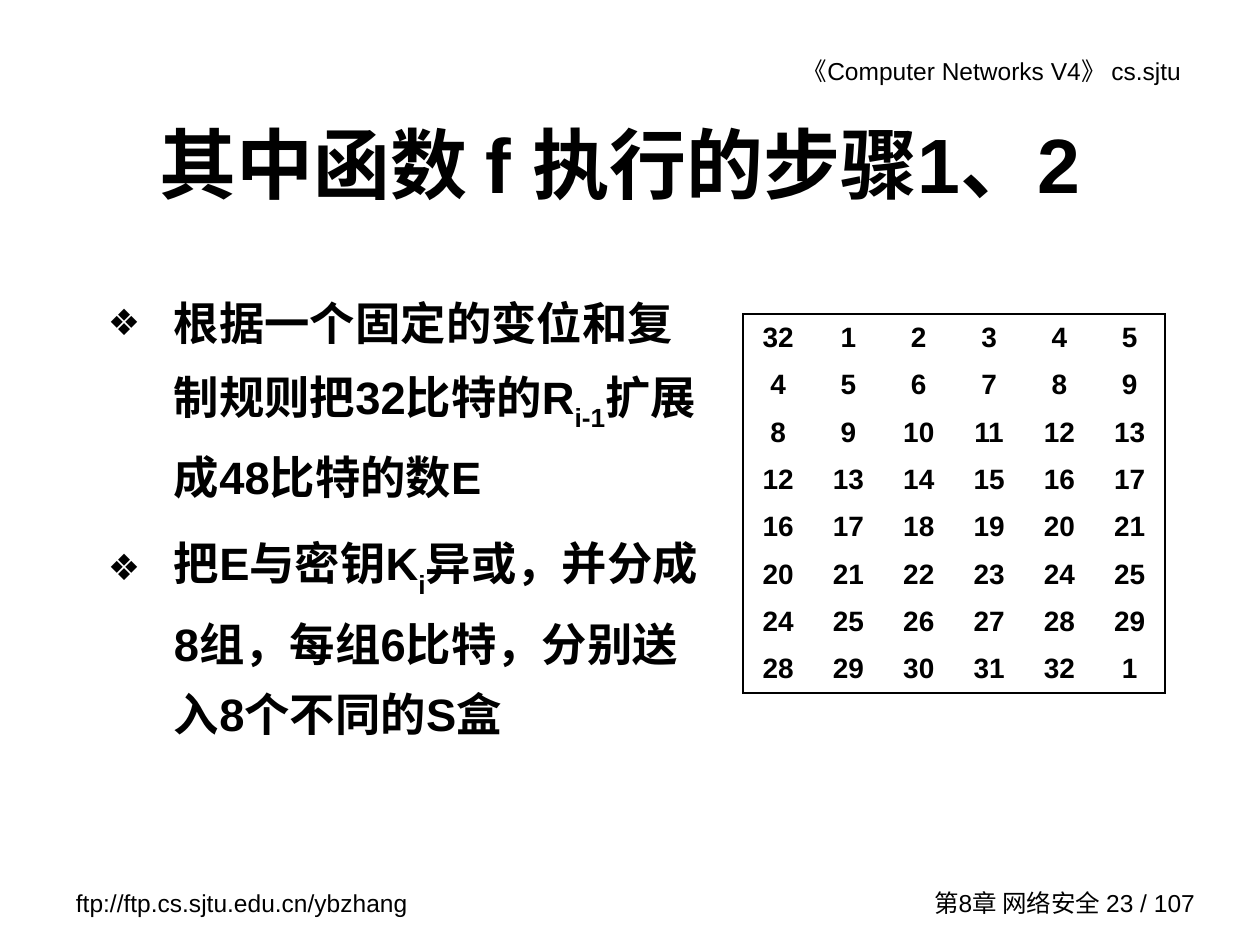
from lxml.etree import SubElement as Sub
from pptx import Presentation as Deck
from pptx.dml.color import RGBColor as RGB
from pptx.enum.text import MSO_ANCHOR as Anchor, MSO_AUTO_SIZE as Fit, PP_ALIGN as Align
from pptx.oxml.ns import qn
from pptx.util import Pt

PX = 914400 / 126
BLACK = RGB(0, 0, 0)
FACE = "Arial"
NO_GRID = "{2D5ABB26-0587-4C30-8999-92F81FD0307C}"
ROWS, COLS, BITS = 8, 6, 32

SMALL = {"size": Pt(14), "bold": False}
HEAD = {"size": Pt(44), "bold": True}
LIST = {"size": Pt(25.9), "bold": True}
CELL = {"size": Pt(16), "bold": True}

# Each item is a list of (text, is subscript) parts.
ITEMS = [
    [("根据一个固定的变位和复制规则把32比特的R", False), ("i-1", True),
     ("扩展成48比特的数E", False)],
    [("把E与密钥K", False), ("i", True),
     ("异或，并分成8组，每组6比特，分别送入8个不同的S盒", False)],
]


def px(num):
    return round(num * PX)


def apply(obj, vals):
    for name, val in vals.items():
        setattr(obj, name, val)


def place(shape, left, top, width, height):
    apply(shape, {"left": px(left), "top": px(top),
                  "width": px(width), "height": px(height)})


def add_run(para, text, style, sub=False):
    run = para.add_run()
    run.text = text
    apply(run.font, {"name": FACE, **style})
    run.font.color.rgb = BLACK
    if sub:
        run.font._element.set("baseline", "-30000")


def set_frame(frame, anchor, right=13):
    apply(frame, {"word_wrap": True, "auto_size": Fit.NONE, "vertical_anchor": anchor,
                  "margin_left": px(13), "margin_right": px(right),
                  "margin_top": px(6), "margin_bottom": px(6)})


def add_note(slide, box, text, align, anchor=Anchor.TOP, right=13):
    """Add a small header or footer line."""
    frame = slide.shapes.add_textbox(*map(px, box)).text_frame
    set_frame(frame, anchor, right)
    para = frame.paragraphs[0]
    para.alignment = align
    add_run(para, text, SMALL)


def add_title(slide, text):
    title = slide.shapes.title
    place(title, 95, 84, 1071, 158)
    set_frame(title.text_frame, Anchor.MIDDLE)
    para = title.text_frame.paragraphs[0]
    para.alignment = Align.CENTER
    add_run(para, text, HEAD)


def set_bullet(para):
    props = para._p.get_or_add_pPr()
    props.set("marL", str(px(66)))
    props.set("indent", str(-px(66)))
    color = Sub(props, qn("a:buClr"))
    Sub(color, qn("a:srgbClr"), val=str(BLACK))
    Sub(props, qn("a:buSzPct"), val="80000")
    Sub(props, qn("a:buChar"), char="❖")


def add_list(slide, items):
    body = slide.placeholders[1]
    place(body, 95, 273, 620, 577)
    frame = body.text_frame
    set_frame(frame, Anchor.TOP)
    for num, parts in enumerate(items):
        para = frame.add_paragraph() if num else frame.paragraphs[0]
        set_bullet(para)
        apply(para, {"line_spacing": 1.3, "space_before": Pt(7 if num else 0),
                     "alignment": Align.LEFT})
        for text, sub in parts:
            add_run(para, text, LIST, sub)


def add_edge(cell, side):
    line = Sub(cell._tc.get_or_add_tcPr(), qn(f"a:ln{side}"), w=str(Pt(1.08)))
    fill = Sub(line, qn("a:solidFill"))
    Sub(fill, qn("a:srgbClr"), val=str(BLACK))


def add_grid(slide):
    """Add the bit expansion table, framed on its outer edges."""
    box = map(px, (743, 314, 422, 379))
    table = slide.shapes.add_table(ROWS, COLS, *box).table
    apply(table, {"first_row": False, "horz_banding": False})
    table._tbl.tblPr.find(qn("a:tableStyleId")).text = NO_GRID
    for row in range(ROWS):
        for col in range(COLS):
            cell = table.cell(row, col)
            apply(cell, {"vertical_anchor": Anchor.MIDDLE,
                         "margin_left": px(3), "margin_right": px(3),
                         "margin_top": px(6), "margin_bottom": px(6)})
            edges = {"L": col == 0, "R": col == COLS - 1,
                     "T": row == 0, "B": row == ROWS - 1}
            for side, outer in edges.items():
                if outer:
                    add_edge(cell, side)
            cell.fill.background()
            para = cell.text_frame.paragraphs[0]
            para.alignment = Align.CENTER
            add_run(para, str((4 * row + col - 1) % BITS + 1), CELL)


def main():
    deck = Deck()
    apply(deck, {"slide_width": px(1260), "slide_height": px(945)})
    slide = deck.slides.add_slide(deck.slide_layouts[1])
    add_note(slide, (658, 50, 549, 43), "《Computer Networks V4》 cs.sjtu",
             Align.RIGHT, right=26)
    add_note(slide, (63, 882, 368, 43), "ftp://ftp.cs.sjtu.edu.cn/ybzhang", Align.LEFT)
    add_note(slide, (905, 882, 303, 42), "第8章 网络安全 23 / 107",
             Align.RIGHT, Anchor.MIDDLE)
    add_title(slide, "其中函数 f 执行的步骤1、2 ")
    add_list(slide, ITEMS)
    add_grid(slide)
    deck.save("out.pptx")


if __name__ == "__main__":
    main()
